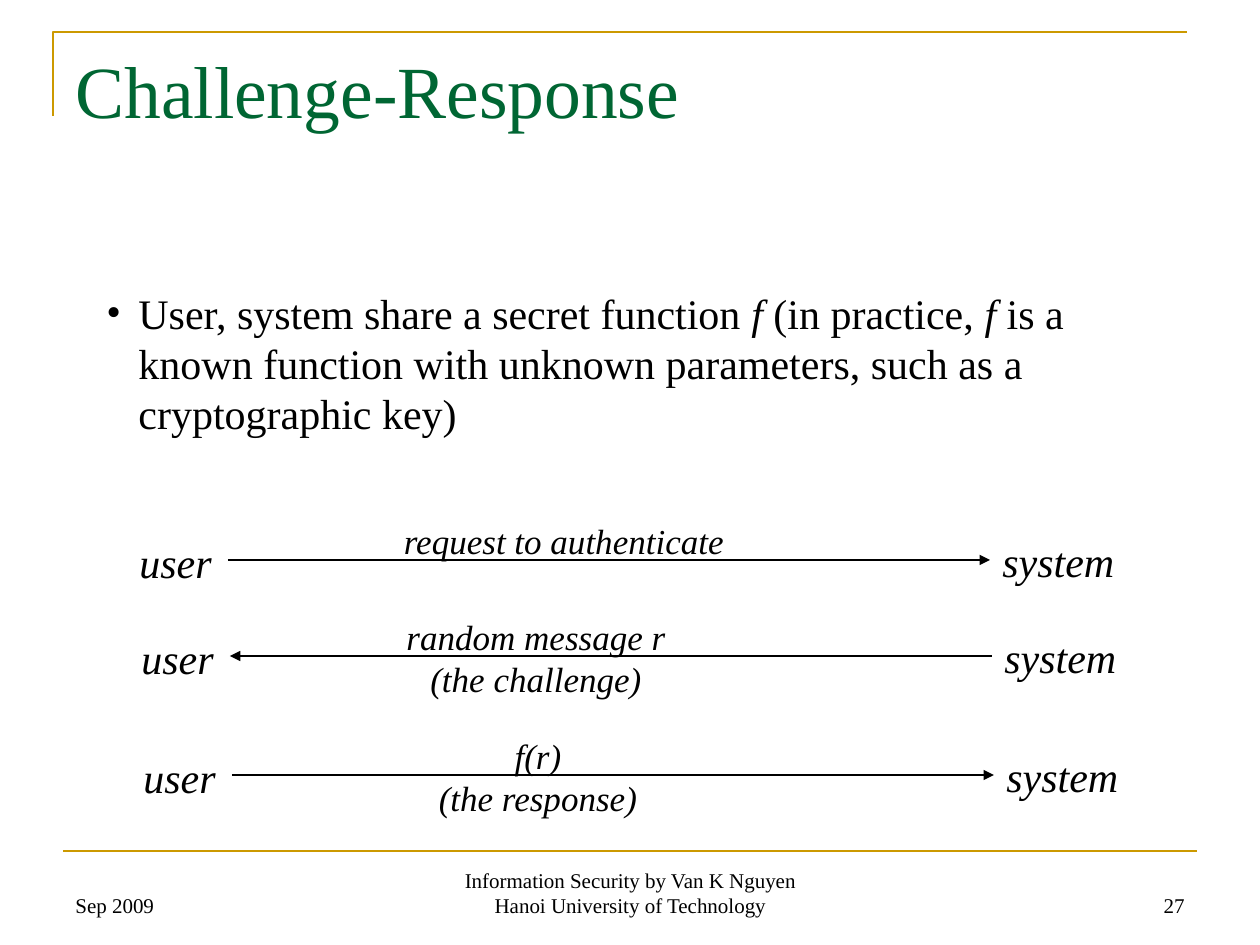
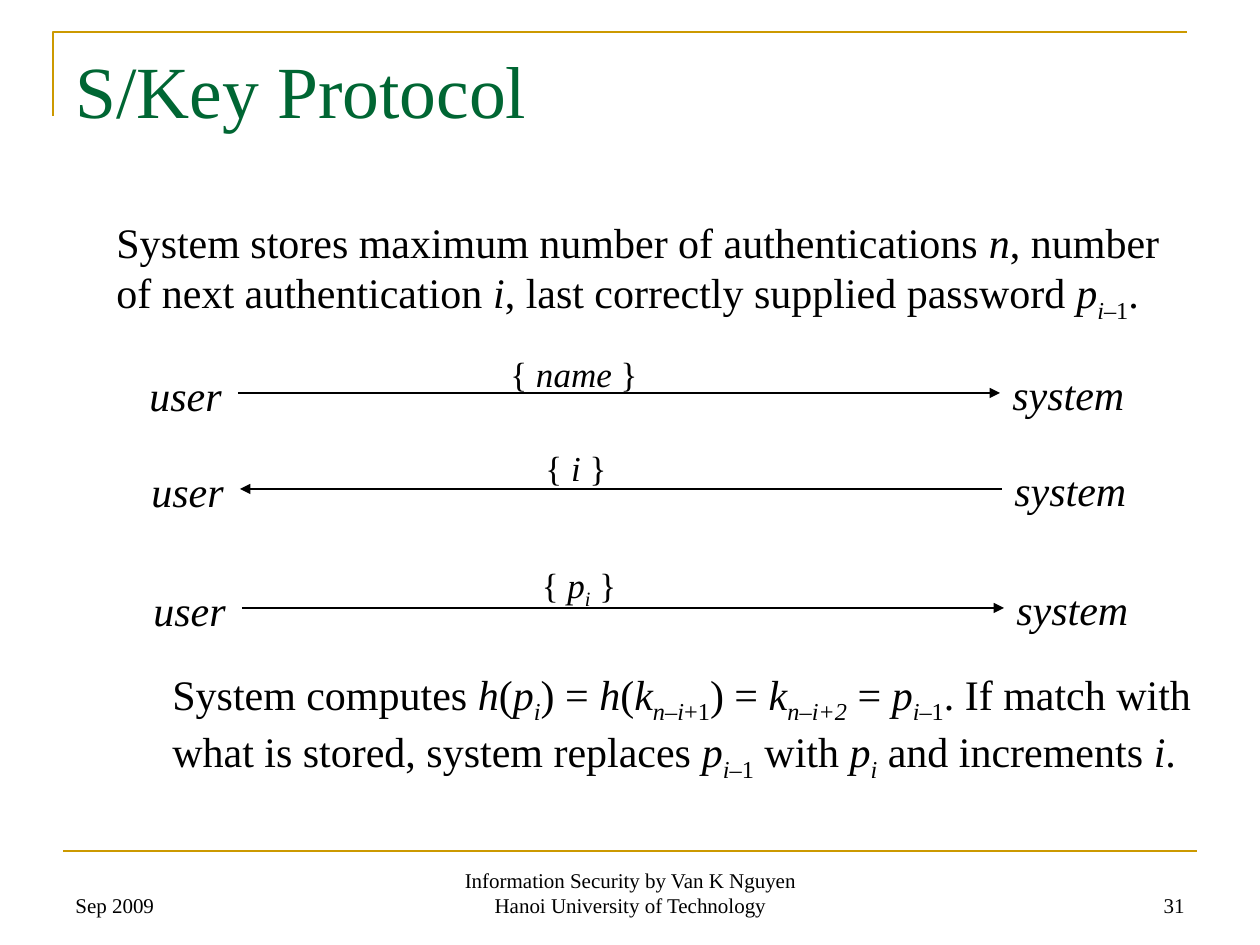
"""Two slides on challenge-response authentication and the S/Key protocol."""
from lxml import etree
from pptx import Presentation
from pptx.dml.color import RGBColor
from pptx.enum.shapes import MSO_CONNECTOR
from pptx.enum.text import MSO_ANCHOR, MSO_AUTO_SIZE, PP_ALIGN
from pptx.oxml.ns import qn
from pptx.util import Emu, Pt

LEFT, CENTER, RIGHT = PP_ALIGN.LEFT, PP_ALIGN.CENTER, PP_ALIGN.RIGHT
TOP, BOTTOM = MSO_ANCHOR.TOP, MSO_ANCHOR.BOTTOM
FIT_SHAPE = MSO_AUTO_SIZE.SHAPE_TO_FIT_TEXT
STRAIGHT = MSO_CONNECTOR.STRAIGHT

EMU_PER_PX = 914400 / 126
FONT = "Times New Roman"
BLACK, GREEN, GOLD = "000000", "006633", "CC9900"
TITLE_SIZE, BODY_SIZE, LABEL_SIZE, FOOTER_SIZE = 42, 24, 20, 12

# In texts, *...* is italic and ~...~ is subscript.
DATE = "Sep 2009"
COURSE = "Information Security by Van K Nguyen Hanoi University of Technology"
SLIDES = [
    {
        "title": "Challenge-Response",
        "page": "27",
        "statements": [
            {"text": "User, system share a secret function *f* (in practice, *f* is a known "
                     "function with unknown parameters, such as a cryptographic key)",
             "box": (94, 281, 1003, 164), "bullet": True},
        ],
        "exchange_at": (127, 560),
        "messages": [
            {"lines": ["*request to authenticate*"], "box": (391, 47, 346), "to": "system"},
            {"lines": ["*random message r*", "*(the challenge)*"],
             "box": (393, 47, 286), "to": "user"},
            {"lines": ["*f(r)*", "*(the response)*"], "box": (425, 47, 226), "to": "system"},
        ],
    },
    {
        "title": "S/Key Protocol",
        "page": "31",
        "statements": [
            {"text": "System stores maximum number of authentications *n*, number of next "
                     "authentication *i*, last correctly supplied password *p~i~*~–1~.",
             "box": (104, 210, 1080, 121)},
            {"text": "System computes *h*(*p~i~*) = *h*(*k~n~*~–~*~i~*~+1~) = "
                     "*k~n~*~–~*~i+2~* = *p~i~*~–1~. If match with what is stored, system "
                     "replaces *p~i~*~–1~ with *p~i~* and increments *i*.",
             "box": (160, 662, 1058, 127)},
        ],
        "exchange_at": (137, 393),
        "messages": [
            {"lines": ["{ *name* }"], "box": (497, 47, 154), "to": "system"},
            {"lines": ["{ *i* }"], "box": (532, 49, 88), "to": "user"},
            {"lines": ["{ *p~i~* }"], "box": (528, 51, 102), "to": "system"},
        ],
    },
]

ROW_DROPS = (0, 96, 215)
ROW_SHIFT = 2
PARTY_HEIGHT = 62
USER_WIDTH, SYSTEM_WIDTH = 100, 138
ARROW_START, SYSTEM_START = 101, 863
LABEL_LINE = 42


def px(value):
    return Emu(round(value * EMU_PER_PX))


def color(hex_text):
    return RGBColor.from_string(hex_text)


def add_runs(paragraph, marked):
    for i, part in enumerate(marked.split("*")):
        for j, piece in enumerate(part.split("~")):
            if piece:
                run = paragraph.add_run()
                run.text = piece
                if i % 2:
                    run.font.italic = True
                if j % 2:
                    run.font._element.set("baseline", "-25000")


def add_bullet(paragraph):
    properties = paragraph._p.get_or_add_pPr()
    indent = px(32)
    properties.set("marL", str(indent))
    properties.set("indent", str(-indent))
    etree.SubElement(properties, qn("a:buFont")).set("typeface", FONT)
    etree.SubElement(properties, qn("a:buChar")).set("char", "•")


def add_text(slide, lines, box, size, hue=BLACK, align=LEFT, anchor=TOP, wrap=True, bullet=False):
    textbox = slide.shapes.add_textbox(*map(px, box))
    frame = textbox.text_frame
    frame.word_wrap = wrap
    if not wrap:
        frame.auto_size = FIT_SHAPE
    frame.vertical_anchor = anchor
    for number, line in enumerate(lines):
        paragraph = frame.add_paragraph() if number else frame.paragraphs[0]
        if bullet:
            add_bullet(paragraph)
        add_runs(paragraph, line)
        paragraph.alignment = align
        paragraph.font.name = FONT
        paragraph.font.size = Pt(size)
        paragraph.font.color.rgb = color(hue)
    return textbox


def add_line(slide, start, end, hue, width):
    line = slide.shapes.add_connector(STRAIGHT, *map(px, start + end))
    line.line.color.rgb = color(hue)
    line.line.width = Pt(width)
    etree.SubElement(line._element.spPr, qn("a:effectLst"))
    return line


def add_frame(slide, title, page):
    builder = slide.shapes.build_freeform(53, 116, scale=EMU_PER_PX)
    builder.add_line_segments([(53, 32), (1187, 32)], close=False)
    corner = builder.convert_to_shape()
    corner.shadow.inherit = False
    corner.fill.background()
    corner.line.color.rgb = color(GOLD)
    corner.line.width = Pt(1.5)
    add_line(slide, (63, 851), (1197, 851), GOLD, 1.5)
    for text, left, width, align in (
        (DATE, 63, 294, LEFT), (COURSE, 431, 399, CENTER), (page, 903, 294, RIGHT),
    ):
        add_text(slide, [text], (left, 861, width, 63), FOOTER_SIZE, align=align, anchor=BOTTOM)
    add_text(slide, [title], (63, 39, 1134, 157), TITLE_SIZE, GREEN)


def add_message(slide, left, level, message):
    party_top = level - PARTY_HEIGHT // 2
    add_text(slide, ["*user*"], (left, party_top + 1, USER_WIDTH, PARTY_HEIGHT),
             BODY_SIZE, wrap=False)
    system_left = left + SYSTEM_START
    system = add_text(slide, ["*system*"], (system_left, party_top, SYSTEM_WIDTH, PARTY_HEIGHT),
                      BODY_SIZE, wrap=False)
    arrow = add_line(slide, (left + ARROW_START, level), (system_left, level), BLACK, 0.75)
    arrow.end_connect(system, 1)
    end = "a:tailEnd" if message["to"] == "system" else "a:headEnd"
    etree.SubElement(arrow.line._get_or_add_ln(), qn(end)).set("type", "triangle")
    label_left, lift, width = message["box"]
    height = 13 + LABEL_LINE * len(message["lines"])
    add_text(slide, message["lines"], (label_left, level - lift, width, height),
             LABEL_SIZE, align=CENTER, wrap=False)


def main():
    deck = Presentation()
    deck.slide_width, deck.slide_height = px(1260), px(945)
    for content in SLIDES:
        slide = deck.slides.add_slide(deck.slide_layouts[6])
        add_frame(slide, content["title"], content["page"])
        for statement in content["statements"]:
            add_text(slide, [statement["text"]], statement["box"], BODY_SIZE,
                     bullet=statement.get("bullet", False))
        left, level = content["exchange_at"]
        for row, (drop, message) in enumerate(zip(ROW_DROPS, content["messages"])):
            add_message(slide, left + row * ROW_SHIFT, level + drop, message)
    deck.save("out.pptx")


if __name__ == "__main__":
    main()
